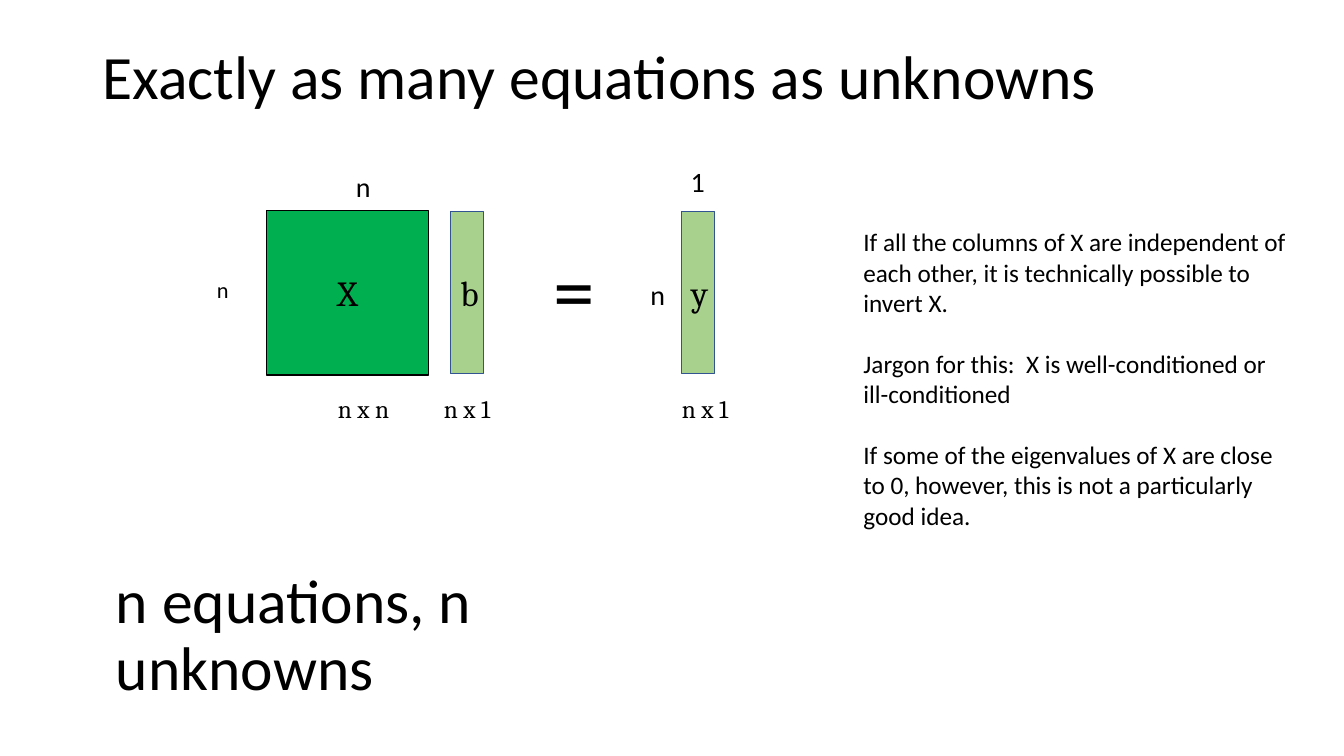
import dataclasses

import pptx
import pptx.dml.color
import pptx.enum.shapes
import pptx.enum.text
import pptx.util

Cm = pptx.util.Cm
Align = pptx.enum.text.PP_ALIGN
Anchor = pptx.enum.text.MSO_ANCHOR


@dataclasses.dataclass(frozen=True)
class Theme:
    sans: str = "Calibri"
    serif: str = "Cambria"
    ink: str = "000000"
    matrix: str = "00B050"
    vector: str = "A9D18E"
    vector_edge: str = "325491"
    heading: float = 44
    equals: float = 59.4
    symbol: float = 25.2
    count: float = 20
    body: float = 18
    row_count: float = 16


def color(code):
    return pptx.dml.color.RGBColor.from_string(code)


def write(frame, *paragraphs, size, font, ink, align=Align.LEFT,
          anchor=Anchor.TOP, wrap=True, leading=1.0, gap=0):
    frame.word_wrap = wrap
    frame.vertical_anchor = anchor
    for index, wording in enumerate(paragraphs):
        paragraph = frame.add_paragraph() if index else frame.paragraphs[0]
        paragraph.alignment = align
        paragraph.line_spacing = leading
        paragraph.space_before = pptx.util.Pt(gap if index else 0)
        run = paragraph.add_run()
        run.text = wording
        run.font.size = pptx.util.Pt(size)
        run.font.name = font
        run.font.color.rgb = color(ink)


class Builder:
    """Draws each kind of element on the current slide in one style."""

    def __init__(self, slide, theme):
        self.slide = slide
        self.theme = theme

    def text(self, box, *paragraphs, size, font=None, **layout):
        frame = self.slide.shapes.add_textbox(*map(Cm, box)).text_frame
        write(frame, *paragraphs, size=size, font=font or self.theme.sans,
              ink=self.theme.ink, **layout)

    def heading(self, box, wording):
        self.text(box, wording, size=self.theme.heading,
                  anchor=Anchor.MIDDLE, leading=0.9)

    def label(self, box, wording, size, font=None):
        self.text(box, wording, size=size, font=font,
                  align=Align.CENTER, wrap=False)

    def block(self, box, symbol, fill, edge):
        block = self.slide.shapes.add_shape(
            pptx.enum.shapes.MSO_SHAPE.RECTANGLE, *map(Cm, box))
        block.shadow.inherit = False
        block.fill.solid()
        block.fill.fore_color.rgb = color(fill)
        block.line.color.rgb = color(edge)
        block.line.width = pptx.util.Pt(1)
        write(block.text_frame, symbol, size=self.theme.symbol,
              font=self.theme.serif, ink=self.theme.ink,
              align=Align.CENTER, anchor=Anchor.MIDDLE)


deck = pptx.Presentation()
deck.slide_width, deck.slide_height = Cm(33.87), Cm(19.05)
theme = Theme()
builder = Builder(deck.slides.add_slide(deck.slide_layouts[6]), theme)

builder.heading((2.34, 1.02, 29.21, 1.98), "Exactly as many equations as unknowns")

builder.block((6.71, 5.31, 4.09, 4.14), "X", theme.matrix, theme.ink)
for left, symbol in ((11.35, "b"), (17.17, "y")):
    builder.block((left, 5.33, 0.84, 4.09), symbol, theme.vector, theme.vector_edge)
builder.label((13.69, 5.89, 1.57, 2.79), "=", theme.equals)

for left, dimensions in ((8.26, "n x n"), (10.87, "n x 1"), (16.87, "n x 1")):
    builder.label((left, 9.78, 1.8, 1.02), dimensions, theme.body, theme.serif)

for left, top, count in ((8.38, 4.14, "n"), (15.8, 6.88, "n"), (16.81, 4.01, "1")):
    builder.label((left, top, 1.55, 1.12), count, theme.count)
builder.label((5.21, 6.83, 0.81, 0.94), "n", theme.row_count)

builder.text(
    (21.51, 5.59, 11.25, 9.5),
    "If all the columns of X are independent of each other, "
    "it is technically possible to invert X.",
    "Jargon for this:  X is well-conditioned or ill-conditioned",
    "If some of the eigenvalues of X are close to 0, however, "
    "this is not a particularly good idea.",
    size=theme.body, gap=22)

builder.heading((2.67, 13.56, 13.31, 4.98), "n equations, n unknowns")

deck.save("out.pptx")
